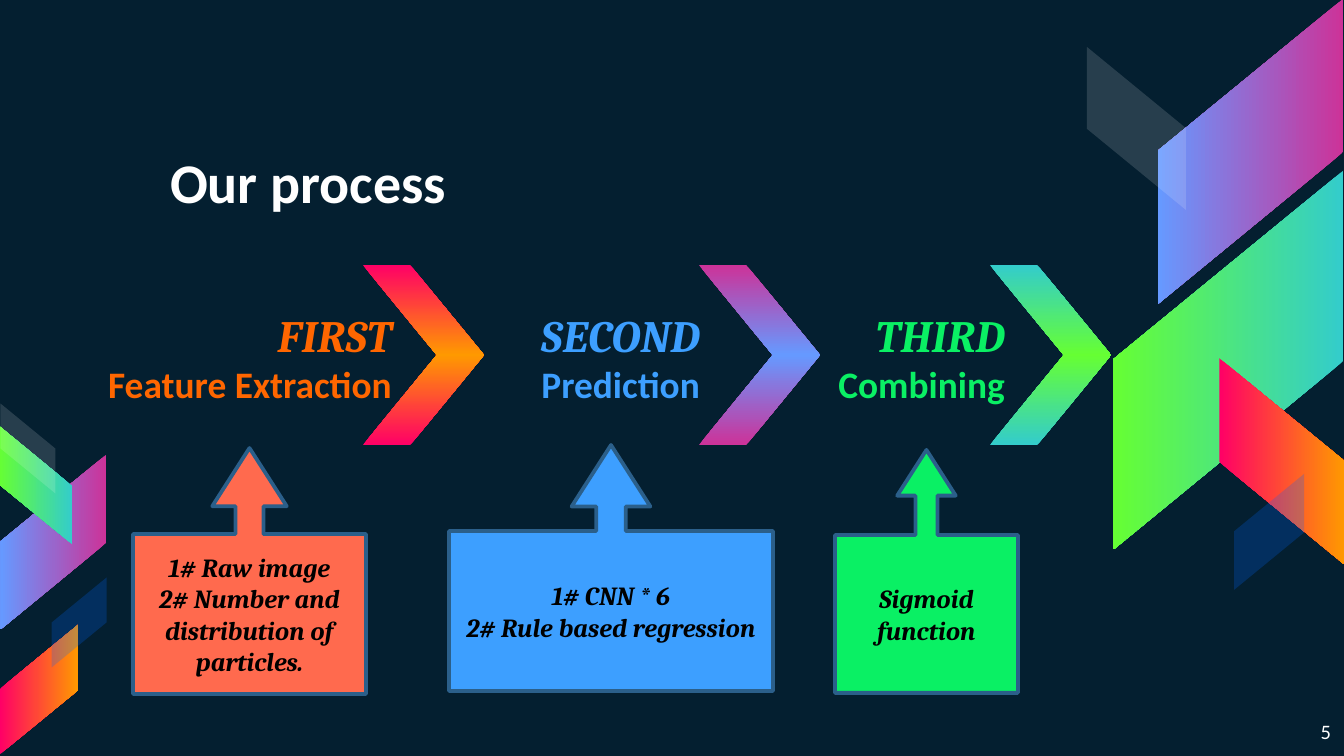
from pptx import Presentation
from pptx.dml.color import RGBColor
from pptx.enum.shapes import MSO_SHAPE as Shape
from pptx.enum.text import MSO_ANCHOR as Anchor, PP_ALIGN as Align
from pptx.util import Emu, Pt
from lxml import etree

SCALE = 914400 / 134.4  # EMU in one px
DRAWING = "{http://schemas.openxmlformats.org/drawingml/2006/main}"

COLORS = {
    "night": "041F30", "white": "FFFFFF", "black": "000000", "outline": "2B5F8A",
    "pink": "CC3399", "sky": "6699FF", "teal": "33CCCC", "lime": "66FF33",
    "red": "FF0066", "amber": "FF9900", "navy": "0066FF",
    "orange": "FF6600", "coral": "FF6A4E", "blue": "3D9FFF", "green": "0AF064",
}

# Fills: two gradient colours, or one colour with its opacity in percent
PURPLE, MINT, FIRE = ("pink", "sky"), ("teal", "lime"), ("red", "amber")
HAZE, DEEP = ("white", 14), ("navy", 23)

# Decoration: left, top, width, height, rotation, flipped, fill
RIBBONS = [
    (1098, 59, 305, 185, 90, True, PURPLE),
    (1039, 245, 379, 230, 90, True, MINT),
    (1179, 399, 206, 125, 270, False, FIRE),
    (1055, 79, 163, 99, 270, False, HAZE),
    (1211, 497, 116, 70, 270, True, DEEP),
    (-34, 489, 175, 106, 90, True, PURPLE),
    (-23, 449, 118, 73, 90, False, MINT),
    (-26, 650, 130, 79, 270, True, FIRE),
    (-17, 421, 90, 55, 270, False, HAZE),
    (34, 595, 90, 55, 270, True, DEEP),
]

TITLE = ("Our process", (157, 134, 878, 94))
PAGE_NUMBER = ("5", (1258, 707, 86, 48))

STEPS = [
    {"name": "FIRST", "task": "Feature Extraction", "color": "orange",
     "label": (-16, 421), "chevron": 363, "gradient": FIRE,
     "callout": (133, 448, 233, 246), "fill": "coral",
     "notes": ["1# Raw image", "2# Number and distribution of particles."]},
    {"name": "SECOND", "task": "Prediction", "color": "blue",
     "label": (409, 304), "chevron": 699, "gradient": PURPLE,
     "callout": (449, 445, 324, 246), "fill": "blue",
     "notes": ["1# CNN * 6", "2# Rule based regression"]},
    {"name": "THIRD", "task": "Combining", "color": "green",
     "label": (796, 222), "chevron": 990, "gradient": MINT,
     "callout": (835, 450, 183, 243), "fill": "green",
     "notes": ["Sigmoid", "function"]},
]
CHEVRON_TOP, CHEVRON_WIDTH, CHEVRON_HALF = 265, 121, 90
LABEL_TOP, LABEL_HEIGHT = 266, 181
SLANT = 0.82
CALLOUT_ADJUSTMENTS = (0.12, 0.16, 0.25, 0.65)
INSET = 13

# Text formats
HEADING = {"name": "Calibri", "size": Pt(30), "bold": True}
STEP_NAME = {"name": "Cambria", "size": Pt(24), "bold": True, "italic": True}
STEP_TASK = {"name": "Calibri", "size": Pt(20), "bold": True}
NOTE = {"name": "Cambria", "size": Pt(14), "bold": True, "italic": True}
NUMBER = {"name": "Calibri", "size": Pt(11)}


def px(value):
    return Emu(round(value * SCALE))


def rgb(name):
    return RGBColor.from_string(COLORS[name])


def add_shape(kind, frame, adjustments):
    shape = page.shapes.add_shape(kind, *map(px, frame))
    shape.shadow.inherit = False
    for index, value in enumerate(adjustments):
        shape.adjustments[index] = value
    return shape


def add_ribbon(frame, rotation, flipped, fill):
    shape = add_shape(Shape.PARALLELOGRAM, frame, [SLANT])
    shape.rotation = rotation
    if flipped:
        shape._element.spPr.xfrm.set("flipH", "1")
    shape.line.fill.background()
    first, second = fill
    if isinstance(second, str):
        shape.fill.gradient()
        shape.fill.gradient_angle = 270
        for stop, color in zip(shape.fill.gradient_stops, fill):
            stop.color.rgb = rgb(color)
    else:
        shape.fill.solid()
        shape.fill.fore_color.rgb = rgb(first)
        color = shape._element.spPr.find(f"{DRAWING}solidFill/{DRAWING}srgbClr")
        etree.SubElement(color, f"{DRAWING}alpha", val=str(second * 1000))


def write(shape, lines, color, align, anchor):
    text = shape.text_frame
    text.word_wrap = True
    text.vertical_anchor = anchor
    for index, (words, style) in enumerate(lines):
        para = text.add_paragraph() if index else text.paragraphs[0]
        para.alignment = align
        span = para.add_run()
        span.text = words
        span.font.color.rgb = rgb(color)
        for key, value in style.items():
            setattr(span.font, key, value)


def add_text(frame, lines, color, align, anchor):
    box = page.shapes.add_textbox(*map(px, frame))
    for side in ("left", "top", "right", "bottom"):
        setattr(box.text_frame, f"margin_{side}", px(INSET))
    write(box, lines, color, align, anchor)


deck = Presentation()
deck.slide_width, deck.slide_height = px(1344), px(756)
page = deck.slides.add_slide(deck.slide_layouts[6])
page.background.fill.solid()
page.background.fill.fore_color.rgb = rgb("night")

# Decoration and title
for *frame, rotation, flipped, fill in RIBBONS:
    add_ribbon(frame, rotation, flipped, fill)
words, frame = TITLE
add_text(frame, [(words, HEADING)], "white", Align.LEFT, Anchor.BOTTOM)

# Chevrons: an upper half and its mirror image below
for step in STEPS:
    for half, (rotation, flipped) in enumerate([(0, True), (180, False)]):
        top = CHEVRON_TOP + half * CHEVRON_HALF
        add_ribbon((step["chevron"], top, CHEVRON_WIDTH, CHEVRON_HALF),
                   rotation, flipped, step["gradient"])

# Step labels and callouts
for step in STEPS:
    left, width = step["label"]
    add_text((left, LABEL_TOP, width, LABEL_HEIGHT),
             [(step["name"], STEP_NAME), (step["task"], STEP_TASK)],
             step["color"], Align.RIGHT, Anchor.MIDDLE)
    callout = add_shape(Shape.UP_ARROW_CALLOUT, step["callout"], CALLOUT_ADJUSTMENTS)
    callout.fill.solid()
    callout.fill.fore_color.rgb = rgb(step["fill"])
    callout.line.color.rgb = rgb("outline")
    callout.line.width = Pt(2)
    write(callout, [(note, NOTE) for note in step["notes"]],
          "black", Align.CENTER, Anchor.MIDDLE)

# Page number
words, frame = PAGE_NUMBER
add_text(frame, [(words, NUMBER)], "white", Align.RIGHT, Anchor.TOP)

deck.save("out.pptx")
